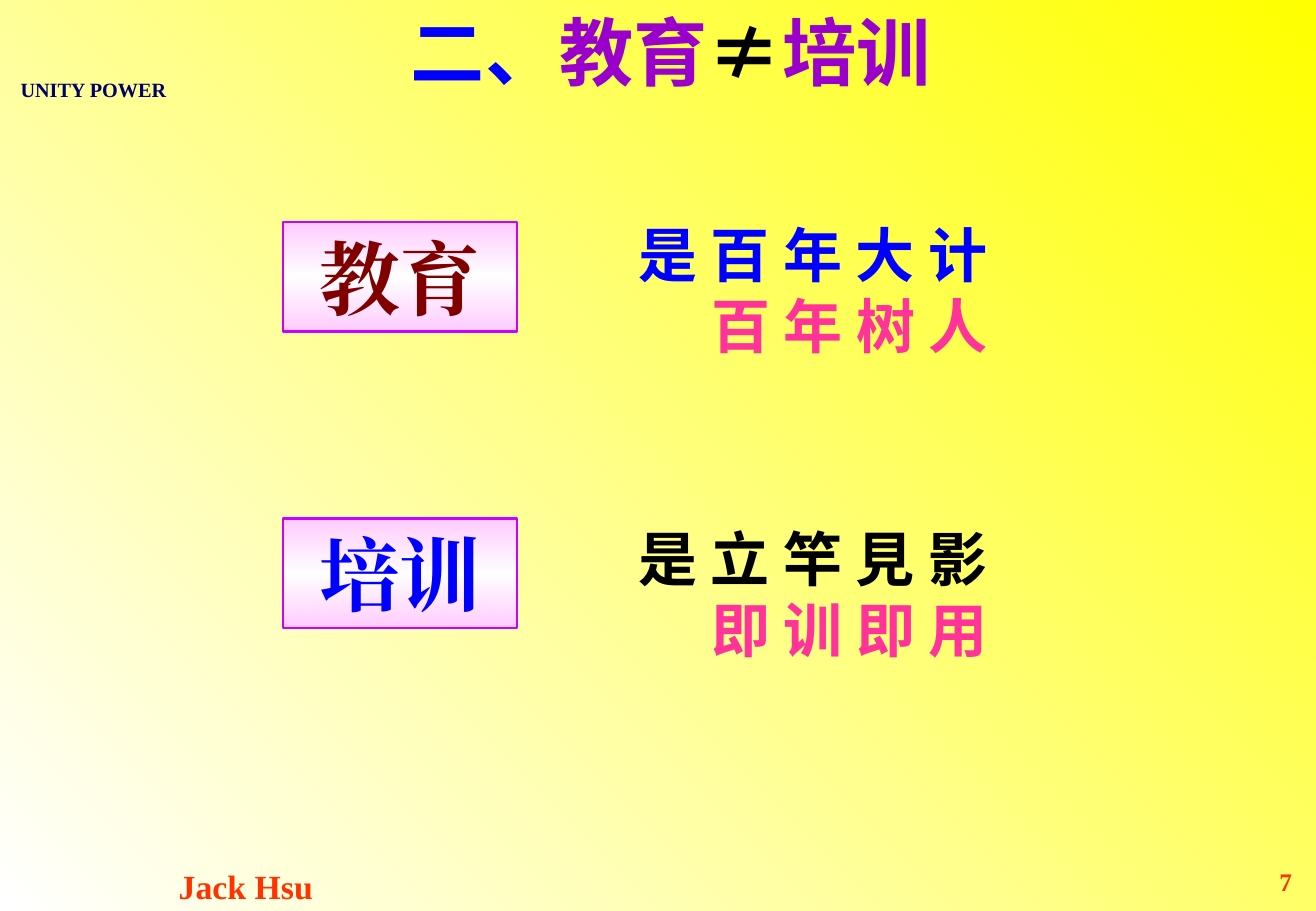
"""Build the slide that contrasts education with training."""
import copy
from dataclasses import dataclass

import pptx
import pptx.dml.color
import pptx.dml.fill
import pptx.enum.shapes
import pptx.enum.text
import pptx.oxml
import pptx.oxml.ns
import pptx.slide
import pptx.text.text
import pptx.util

Inches = pptx.util.Inches
Align = pptx.enum.text.PP_ALIGN
Anchor = pptx.enum.text.MSO_ANCHOR


@dataclass(frozen=True)
class Theme:
    serif: str = "Times New Roman"
    sans: str = "Noto Sans CJK SC"
    title_font: str = "Noto Sans CJK TC"
    blue: str = "0000FF"
    purple: str = "9900CC"
    black: str = "000000"
    maroon: str = "800000"
    pink: str = "FF3399"
    navy: str = "000066"
    orange: str = "FF3300"
    border: str = "CC00FF"
    background: tuple[str, ...] = ("FFFF00", "FFFFFF")
    card: tuple[str, ...] = ("FFCCFF", "FEFEFE", "FFCCFF")
    title_size: float = 44
    card_size: float = 48
    statement_size: float = 35
    statement_leading: float = 42
    author_size: float = 20
    number_size: float = 15
    mark_size: float = 12


@dataclass(frozen=True)
class Box:
    left: float
    top: float
    width: float
    height: float

    def lengths(self) -> tuple[int, ...]:
        return tuple(Inches(value) for value in (self.left, self.top, self.width, self.height))


@dataclass(frozen=True)
class Label:
    text: str
    box: Box
    size: float
    color: str
    alignment: Align


@dataclass(frozen=True)
class Concept:
    name: str
    name_color: str
    statement: str
    statement_color: str
    motto: str
    card_top: float
    statement_top: float


THEME = Theme()
TITLE = (("二、", THEME.blue), ("教育", THEME.purple), ("≠", THEME.black), ("培训", THEME.purple))
CONCEPTS = (
    Concept("教育", THEME.maroon, "是 百 年 大 计", THEME.blue, "百 年 树 人", 1.83, 1.75),
    Concept("培训", THEME.blue, "是 立 竿 見 影", THEME.black, "即 训 即 用", 4.27, 4.25),
)
LABELS = (
    Label("Jack Hsu", Box(1, 7.08, 2.05, 0.5), THEME.author_size, THEME.orange, Align.CENTER),
    Label("UNITY POWER", Box(0.06, 0.59, 1.42, 0.3), THEME.mark_size, THEME.navy, Align.CENTER),
    Label("7", Box(9.39, 7.08, 1.35, 0.5), THEME.number_size, THEME.orange, Align.RIGHT),
)


def rgb(color: str) -> pptx.dml.color.RGBColor:
    return pptx.dml.color.RGBColor.from_string(color)


def set_gradient(fill: pptx.dml.fill.FillFormat, element: pptx.oxml.xmlchemy.BaseOxmlElement,
                 colors: tuple[str, ...], angle: float) -> None:
    """Spread the colours evenly along a linear gradient."""
    fill.gradient()
    fill.gradient_angle = angle
    stop_list = next(element.iter(pptx.oxml.ns.qn("a:gsLst")))
    while len(stop_list) < len(colors):
        stop_list.append(copy.deepcopy(stop_list[0]))
    for index, (stop, color) in enumerate(zip(fill.gradient_stops, colors)):
        stop.position = index / (len(colors) - 1)
        stop.color.rgb = rgb(color)


def format_paragraph(paragraph: pptx.text.text._Paragraph, name: str, size: float,
                     color: str | None, alignment: Align) -> None:
    """Set the alignment and the shared font of a paragraph."""
    paragraph.alignment = alignment
    font = paragraph.font
    font.name, font.size, font.bold = name, pptx.util.Pt(size), True
    if color:
        font.color.rgb = rgb(color)
    properties = paragraph._p.pPr.find(pptx.oxml.ns.qn("a:defRPr"))
    east_asian = pptx.oxml.parse_xml(f'<a:ea {pptx.oxml.ns.nsdecls("a")} typeface="{name}"/>')
    properties.find(pptx.oxml.ns.qn("a:latin")).addnext(east_asian)


def add_title(slide: pptx.slide.Slide) -> None:
    """Fill the title placeholder with its coloured runs."""
    title = slide.shapes.title
    title.left, title.top, title.width, title.height = Box(0.92, 0, 9.21, 0.83).lengths()
    title.text_frame.vertical_anchor = Anchor.MIDDLE
    paragraph = title.text_frame.paragraphs[0]
    for text, color in TITLE:
        run = paragraph.add_run()
        run.text = text
        run.font.color.rgb = rgb(color)
    format_paragraph(paragraph, THEME.title_font, THEME.title_size, None, Align.CENTER)


def add_label(slide: pptx.slide.Slide, label: Label) -> None:
    """Add a one-line text box."""
    frame = slide.shapes.add_textbox(*label.box.lengths()).text_frame
    frame.word_wrap = True
    paragraph = frame.paragraphs[0]
    paragraph.text = label.text
    format_paragraph(paragraph, THEME.serif, label.size, label.color, label.alignment)


def add_concept(slide: pptx.slide.Slide, concept: Concept) -> None:
    """Add a concept card and the two lines that explain it."""
    card = slide.shapes.add_shape(pptx.enum.shapes.MSO_SHAPE.RECTANGLE,
                                  *Box(2.33, concept.card_top, 1.93, 0.9).lengths())
    card.shadow.inherit = False
    set_gradient(card.fill, card._element, THEME.card, 270)
    card.line.color.rgb = rgb(THEME.border)
    card.line.width = pptx.util.Pt(1.5)
    card.text_frame.vertical_anchor = Anchor.MIDDLE
    paragraph = card.text_frame.paragraphs[0]
    paragraph.text = concept.name
    format_paragraph(paragraph, THEME.serif, THEME.card_size, concept.name_color, Align.CENTER)

    frame = slide.shapes.add_textbox(*Box(5.16, concept.statement_top, 3.9, 1.27).lengths()).text_frame
    frame.word_wrap = True
    lines = ((concept.statement, concept.statement_color, 0), (concept.motto, THEME.pink, 0.6))
    for index, (text, color, indent) in enumerate(lines):
        paragraph = frame.add_paragraph() if index else frame.paragraphs[0]
        paragraph.text = text
        paragraph.line_spacing = pptx.util.Pt(THEME.statement_leading)
        format_paragraph(paragraph, THEME.sans, THEME.statement_size, color, Align.LEFT)
        paragraph._p.pPr.set("marL", str(Inches(indent)))


def main() -> None:
    """Create and save the presentation."""
    presentation = pptx.Presentation()
    presentation.slide_width, presentation.slide_height = Inches(10.84), Inches(7.5)
    slide = presentation.slides.add_slide(presentation.slide_layouts.get_by_name("Title Only"))
    set_gradient(slide.background.fill, slide.element, THEME.background, 225)
    add_title(slide)
    for label in LABELS:
        add_label(slide, label)
    for concept in CONCEPTS:
        add_concept(slide, concept)
    presentation.save("out.pptx")


if __name__ == "__main__":
    main()
